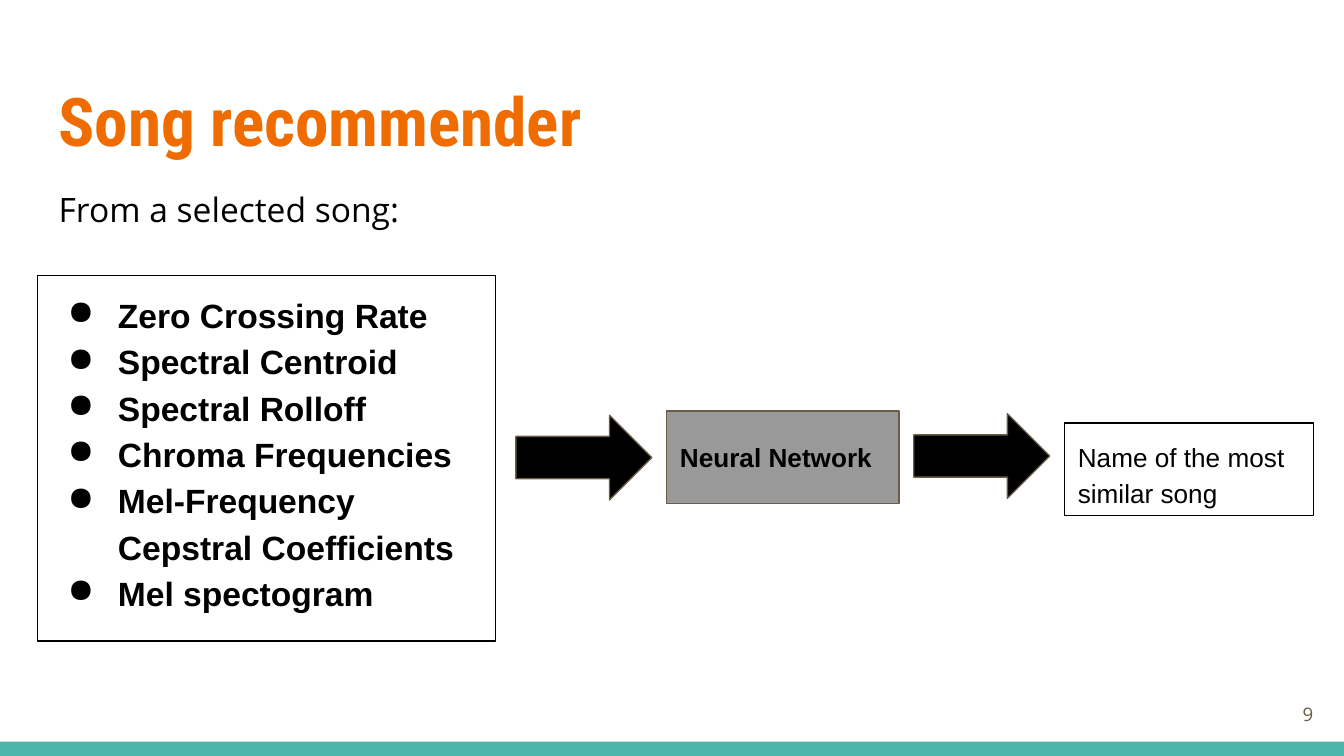
from typing import NamedTuple, Optional

from lxml.etree import SubElement
from pptx import Presentation
from pptx.dml.color import RGBColor
from pptx.enum.shapes import MSO_SHAPE
from pptx.enum.text import MSO_ANCHOR, MSO_AUTO_SIZE, PP_ALIGN
from pptx.oxml.ns import qn
from pptx.util import Cm, Pt

BLACK, GRAY, BROWN = "000000", "999999", "695D46"
ORANGE, TEAL, WHITE = "EF6C00", "4DB6AC", "FFFFFF"
INSET = Cm(0.25)
FEATURES = [
    "Zero Crossing Rate",
    "Spectral Centroid",
    "Spectral Rolloff",
    "Chroma Frequencies",
    "Mel-Frequency Cepstral Coefficients",
    "Mel spectogram",
]


class Box(NamedTuple):
    """Position and size in centimetres."""
    left: float
    top: float
    width: float
    height: float

    def lengths(self) -> list:
        return [Cm(value) for value in self]


class Block(NamedTuple):
    box: Box
    kind: MSO_SHAPE = MSO_SHAPE.RECTANGLE
    fill: Optional[str] = None
    line: Optional[str] = None


def color(value: str) -> RGBColor:
    return RGBColor.from_string(value)


def add_bullet(paragraph) -> None:
    properties = paragraph._p.get_or_add_pPr()
    properties.set("marL", str(Cm(1.27)))
    properties.set("indent", str(-Cm(0.95)))
    bullet_color = SubElement(properties, qn("a:buClr"))
    SubElement(bullet_color, qn("a:srgbClr"), val=BLACK)
    SubElement(properties, qn("a:buChar"), char="●")


def write_text(shape, *lines: str, size: float, font: str = "Arial",
               text_color: str = BLACK, bold: bool = False,
               align: PP_ALIGN = PP_ALIGN.LEFT,
               anchor: MSO_ANCHOR = MSO_ANCHOR.TOP,
               spacing: float = 1.0, after: float = 0,
               bullets: bool = False) -> None:
    frame = shape.text_frame
    frame.word_wrap = True
    frame.auto_size = MSO_AUTO_SIZE.NONE
    frame.vertical_anchor = anchor
    frame.margin_left = frame.margin_right = INSET
    frame.margin_top = frame.margin_bottom = INSET
    for index, line in enumerate(lines):
        paragraph = frame.add_paragraph() if index else frame.paragraphs[0]
        paragraph.alignment = align
        paragraph.line_spacing = spacing
        paragraph.space_after = Pt(after)
        if bullets:
            add_bullet(paragraph)
        run = paragraph.add_run()
        run.text = line
        run.font.name = font
        run.font.size = Pt(size)
        run.font.bold = bold
        run.font.color.rgb = color(text_color)


def add_block(slide, block: Block):
    shape = slide.shapes.add_shape(block.kind, *block.box.lengths())
    shape.shadow.inherit = False
    if block.fill:
        shape.fill.solid()
        shape.fill.fore_color.rgb = color(block.fill)
    else:
        shape.fill.background()
    if block.line:
        shape.line.color.rgb = color(block.line)
        shape.line.width = Pt(0.75)
    else:
        shape.line.fill.background()
    return shape


def main() -> None:
    presentation = Presentation()
    presentation.slide_width, presentation.slide_height = Cm(25.4), Cm(14.29)
    slide = presentation.slides.add_slide(presentation.slide_layouts[5])
    slide.background.fill.solid()
    slide.background.fill.fore_color.rgb = color(WHITE)

    # Footer bar
    add_block(slide, Block(Box(0, 14.02, 25.4, 0.27), fill=TEAL))

    # Title and introduction
    title = slide.shapes.title
    title.left, title.top, title.width, title.height = Box(
        0.86, 1.24, 23.67, 1.96).lengths()
    write_text(title, "Song recommender", size=36, font="Roboto Condensed",
               text_color=ORANGE, bold=True)
    introduction = slide.shapes.add_textbox(*Box(0.86, 3.2, 23.04, 9.5).lengths())
    write_text(introduction, "From a selected song:", size=18,
               font="Open Sans", spacing=1.15, after=16)

    # Song features
    features = add_block(slide, Block(Box(0.71, 5.21, 8.66, 6.91), line=BLACK))
    write_text(features, *FEATURES, size=18, bold=True, spacing=1.15, bullets=True)

    # Arrows between the steps
    for left, top in ((9.75, 7.85), (17.27, 7.82)):
        add_block(slide, Block(Box(left, top, 2.57, 1.6),
                               MSO_SHAPE.RIGHT_ARROW, BLACK, BROWN))

    # Network and its result
    network = add_block(slide, Block(Box(12.6, 7.77, 4.39, 1.75),
                                     fill=GRAY, line=BROWN))
    write_text(network, "Neural Network", size=14, bold=True,
               anchor=MSO_ANCHOR.MIDDLE)
    result = add_block(slide, Block(Box(20.12, 8, 4.7, 1.75), line=BLACK))
    write_text(result, "Name of the most similar song", size=14,
               spacing=1.15, after=16)

    # Slide number
    number = slide.shapes.add_textbox(*Box(23.55, 12.95, 1.52, 1.09).lengths())
    write_text(number, "9", size=10, font="Open Sans", text_color=BROWN,
               align=PP_ALIGN.RIGHT, anchor=MSO_ANCHOR.MIDDLE)

    presentation.save("out.pptx")


if __name__ == "__main__":
    main()
